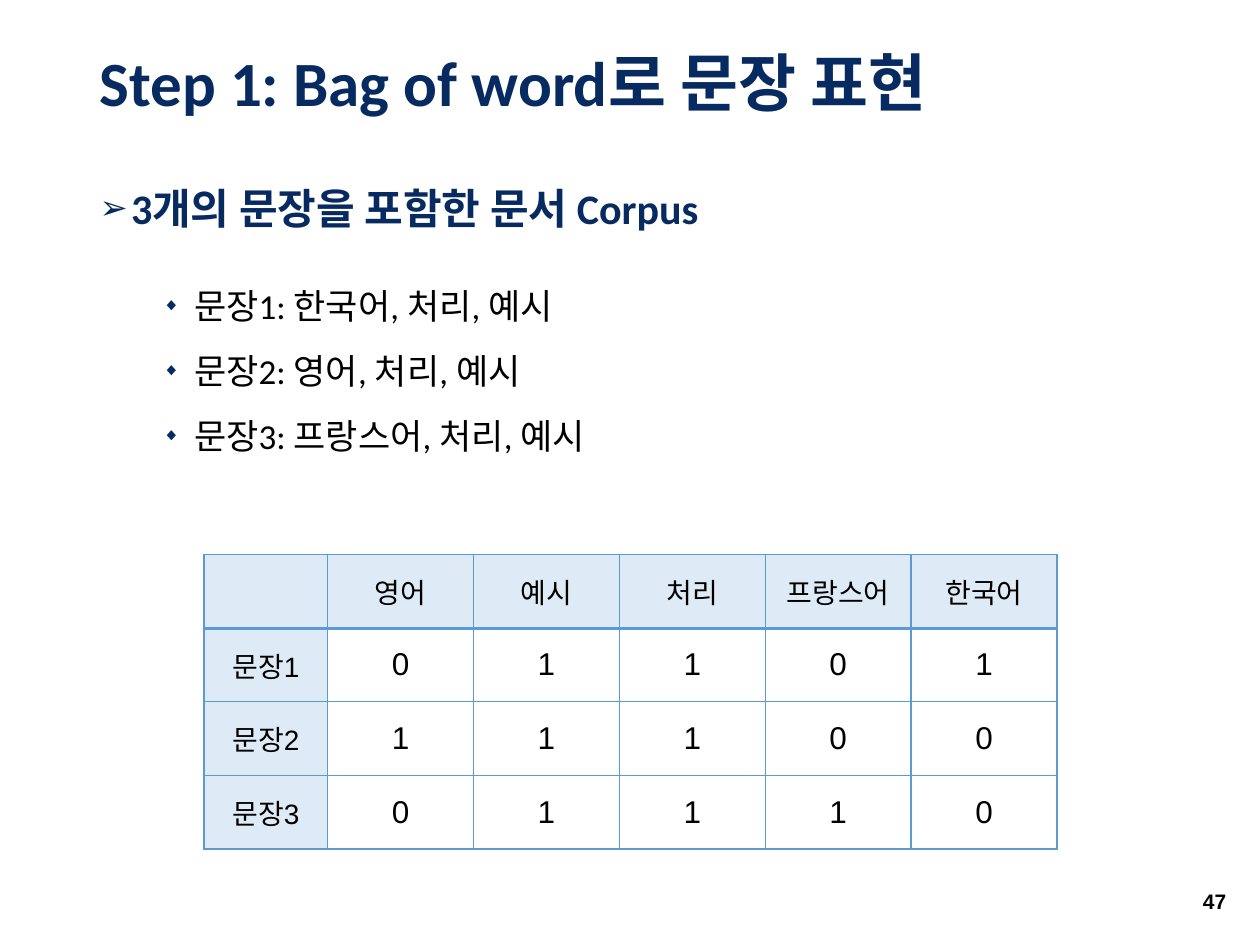
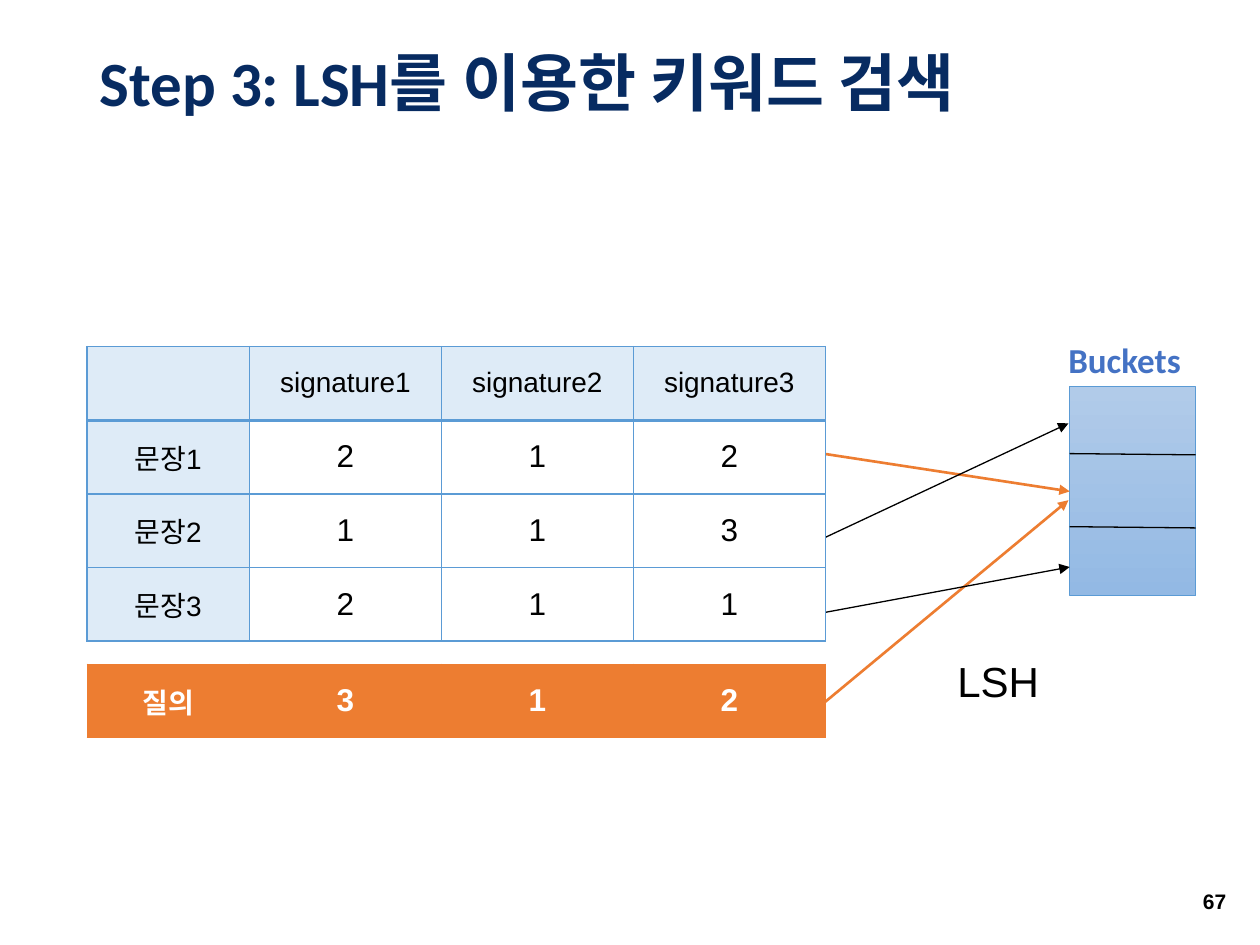
from dataclasses import dataclass, replace
from typing import Any

from lxml import etree
from pptx import Presentation
from pptx.dml.color import RGBColor
from pptx.enum.shapes import MSO_CONNECTOR, MSO_SHAPE
from pptx.enum.text import MSO_ANCHOR, MSO_AUTO_SIZE, PP_ALIGN
from pptx.oxml.ns import qn
from pptx.util import Inches, Pt

LEFT, CENTER, RIGHT = PP_ALIGN.LEFT, PP_ALIGN.CENTER, PP_ALIGN.RIGHT
TOP, MIDDLE = MSO_ANCHOR.TOP, MSO_ANCHOR.MIDDLE
NOFIT = MSO_AUTO_SIZE.NONE
LINE, RECT = MSO_CONNECTOR.STRAIGHT, MSO_SHAPE.RECTANGLE

NAVY, BLUE, SKY, PALE = "072B61", "4472C4", "5B9BD5", "DEEBF7"
ORANGE, BLACK, WHITE = "ED7D31", "000000", "FFFFFF"
ROW = 0.585
LEFT_SIDE = 1


@dataclass(frozen=True)
class Style:
    """Look of a run of text."""
    size: float
    color: str = BLACK
    name: str = "Arial"
    bold: bool = False


@dataclass(frozen=True)
class Box:
    """Place of an element in inches."""
    left: float
    top: float
    width: float
    height: float

    def place(self) -> tuple:
        """Return the four lengths."""
        return tuple(map(Inches, (self.left, self.top, self.width, self.height)))


@dataclass(frozen=True)
class Item:
    """One list entry with its bullet and spacing."""
    text: str
    style: Style
    mark: str
    scale: int
    level: int
    margin: float
    before: float


@dataclass(frozen=True)
class Grid:
    """Table with a narrow or wide first column and equal others."""
    box: Box
    first: float
    rows: list[list[str]]
    head: str = PALE
    body: str = WHITE
    edge: str = SKY
    thin: float = 1
    thick: float = 2
    text: Style = Style(16)


@dataclass(frozen=True)
class Link:
    """Straight line between two points."""
    start: tuple[float, float]
    end: tuple[float, float]
    color: str = BLACK
    width: float = 0.75
    arrow: bool = True
    joined: bool = False


HEAD = Style(36, NAVY, "Calibri", True)
LEAD = Style(24, NAVY, "Calibri", True)
PLAIN = Style(20, BLACK, "Calibri")
TITLE_BOX = Box(0.69, 0.18, 8.62, 1.01)
BODY_BOX = Box(0.69, 1.44, 8.62, 5.44)
PAGE_BOX = Box(9.31, 6.95, 0.52, 0.4)
BUCKET = Box(8.49, 3.07, 1, 1.66)


def rgb(code: str) -> RGBColor:
    """Turn a hex string into a colour."""
    return RGBColor.from_string(code)


def apply(target: Any, values: dict[str, Any]) -> None:
    """Set each named attribute."""
    for key, value in values.items():
        setattr(target, key, value)


def move(shape: Any, box: Box) -> None:
    """Place a shape in its box."""
    apply(shape, dict(zip(("left", "top", "width", "height"), box.place())))


def write(para: Any, text: str, style: Style) -> None:
    """Add a styled run to a paragraph."""
    run = para.add_run()
    run.text = text
    apply(run.font, {"size": Pt(style.size), "name": style.name, "bold": style.bold})
    run.font.color.rgb = rgb(style.color)


def label(slide: Any, box: Box, text: str, style: Style, align: Any = LEFT,
          anchor: Any = TOP, wrap: bool = True) -> None:
    """Add a one-line text box."""
    frame = slide.shapes.add_textbox(*box.place()).text_frame
    apply(frame, {"word_wrap": wrap, "vertical_anchor": anchor})
    para = frame.paragraphs[0]
    para.alignment = align
    write(para, text, style)


def start(deck: Any, layout: int, title: str, page: str) -> Any:
    """Add a slide with its title and page number."""
    slide = deck.slides.add_slide(deck.slide_layouts[layout])
    shape = slide.shapes.title
    move(shape, TITLE_BOX)
    apply(shape.text_frame, {"auto_size": NOFIT, "vertical_anchor": MIDDLE})
    para = shape.text_frame.paragraphs[0]
    apply(para, {"alignment": LEFT, "line_spacing": 0.9})
    write(para, title, HEAD)
    label(slide, PAGE_BOX, page, Style(12, bold=True), RIGHT, MIDDLE)
    return slide


def bullet(para: Any, item: Item) -> None:
    """Give a paragraph its bullet and hanging indent."""
    props = para._p.get_or_add_pPr()
    props.set("marL", str(Inches(item.margin)))
    props.set("indent", str(Inches(-0.25)))
    tint = etree.SubElement(props, qn("a:buClr"))
    etree.SubElement(tint, qn("a:srgbClr"), val=NAVY)
    etree.SubElement(props, qn("a:buSzPct"), val=str(item.scale * 1000))
    etree.SubElement(props, qn("a:buFont"), typeface="Arial")
    etree.SubElement(props, qn("a:buChar"), char=item.mark)


def fill_list(shape: Any, items: list[Item]) -> None:
    """Write list entries into the body placeholder."""
    move(shape, BODY_BOX)
    frame = shape.text_frame
    frame.auto_size = NOFIT
    for index, item in enumerate(items):
        para = frame.add_paragraph() if index else frame.paragraphs[0]
        bullet(para, item)
        apply(para, {"level": item.level, "line_spacing": 0.9,
                     "space_before": Pt(item.before)})
        write(para, item.text, item.style)


def border(cell: Any, color: str, widths: dict[str, float]) -> None:
    """Draw the four edges of a cell."""
    props = cell._tc.get_or_add_tcPr()
    for side, width in widths.items():
        line = etree.SubElement(props, qn(f"a:ln{side}"), w=str(Pt(width)))
        paint = etree.SubElement(line, qn("a:solidFill"))
        etree.SubElement(paint, qn("a:srgbClr"), val=color)


def draw_grid(slide: Any, grid: Grid) -> None:
    """Draw a table from its rows of text."""
    count = len(grid.rows[0])
    table = slide.shapes.add_table(len(grid.rows), count, *grid.box.place()).table
    apply(table, {"first_row": False, "horz_banding": False})
    rest = (grid.box.width - grid.first) / (count - 1)
    for index, column in enumerate(table.columns):
        column.width = Inches(rest if index else grid.first)
    for r, texts in enumerate(grid.rows):
        table.rows[r].height = Inches(ROW)
        for c, text in enumerate(texts):
            cell = table.cell(r, c)
            border(cell, grid.edge, {
                "L": grid.thin, "R": grid.thin,
                "T": grid.thick if r == 1 else grid.thin,
                "B": grid.thick if r == 0 else grid.thin})
            cell.fill.solid()
            cell.fill.fore_color.rgb = rgb(grid.body if r and c else grid.head)
            cell.vertical_anchor = MIDDLE
            para = cell.text_frame.paragraphs[0]
            para.alignment = CENTER
            if text:
                size = 18 if text.isdigit() else 16
                write(para, text, replace(grid.text, size=size))


def draw_link(slide: Any, link: Link, goal: Any) -> None:
    """Draw a line, with an arrowhead or a joint if asked."""
    ends = map(Inches, (*link.start, *link.end))
    shape = slide.shapes.add_connector(LINE, *ends)
    if link.joined:
        shape.end_connect(goal, LEFT_SIDE)
    shape.line.width = Pt(link.width)
    shape.line.color.rgb = rgb(link.color)
    if link.arrow:
        etree.SubElement(shape.line._get_or_add_ln(), qn("a:tailEnd"), type="triangle")
    etree.SubElement(shape._element.spPr, qn("a:effectLst"))


def draw_bucket(slide: Any) -> Any:
    """Draw the shaded bucket column."""
    shape = slide.shapes.add_shape(RECT, *BUCKET.place())
    shape.shadow.inherit = False
    shape.fill.gradient()
    shape.fill.gradient_angle = 270
    for stop, code in zip(shape.fill.gradient_stops, ("B1CBE9", "93B9E4")):
        stop.color.rgb = rgb(code)
    shape.line.color.rgb = rgb(SKY)
    shape.line.width = Pt(0.5)
    return shape


def show_words(deck: Any) -> None:
    """Build the bag of words slide."""
    slide = start(deck, 1, "Step 1: Bag of word로 문장 표현", "47")
    lines = ["문장1: 한국어, 처리, 예시", "문장2: 영어, 처리, 예시",
             "문장3: 프랑스어, 처리, 예시"]
    items = [Item("3개의 문장을 포함한 문서 Corpus", LEAD, "➢", 80, 0, 0.25, 0)]
    items += [Item(line, PLAIN, "◆", 50, 1, 0.75, 15.5 if index else 32)
              for index, line in enumerate(lines)]
    fill_list(slide.placeholders[1], items)
    draw_grid(slide, Grid(Box(1.62, 4.4, 6.77, 4 * ROW), 0.98, [
        ["", "영어", "예시", "처리", "프랑스어", "한국어"],
        ["문장1", *"01101"],
        ["문장2", *"11100"],
        ["문장3", *"01110"]]))


def show_search(deck: Any) -> None:
    """Build the hashing search slide."""
    slide = start(deck, 5, "Step 3: LSH를 이용한 키워드 검색", "67")
    bucket = draw_bucket(slide)
    label(slide, Box(8.38, 2.64, 1.31, 0.44), "Buckets",
          Style(20, BLUE, "Calibri", True))
    edge = BUCKET.left + BUCKET.width
    links = [Link((BUCKET.left, y), (edge, y + 0.01), arrow=False)
             for y in (3.6, 4.18)]
    links += [
        Link((6.53, 3.6), (8.49, 3.9), ORANGE, 1.5, joined=True),
        Link((6.55, 5.57), (8.48, 3.97), ORANGE, 1.5),
        Link((6.54, 4.27), (8.48, 3.36)),
        Link((6.55, 4.86), (8.49, 4.5))]
    for link in links:
        draw_link(slide, link, bucket)
    label(slide, Box(7.5, 5.15, 0.86, 0.5), "LSH", Style(24), wrap=False)
    draw_grid(slide, Grid(Box(0.69, 2.75, 5.86, 4 * ROW), 1.29, [
        ["", *(f"signature{n}" for n in (1, 2, 3))],
        ["문장1", *"212"],
        ["문장2", *"113"],
        ["문장3", *"211"]]))
    draw_grid(slide, Grid(Box(0.69, 5.27, 5.86, ROW), 1.29, [["질의", *"312"]],
                          head=ORANGE, edge=ORANGE, thin=0.5, thick=0.5,
                          text=Style(16, WHITE, bold=True)))


def main() -> None:
    """Build and save the deck."""
    deck = Presentation()
    apply(deck, {"slide_width": Inches(10), "slide_height": Inches(7.5)})
    show_words(deck)
    show_search(deck)
    deck.save("out.pptx")


if __name__ == "__main__":
    main()
